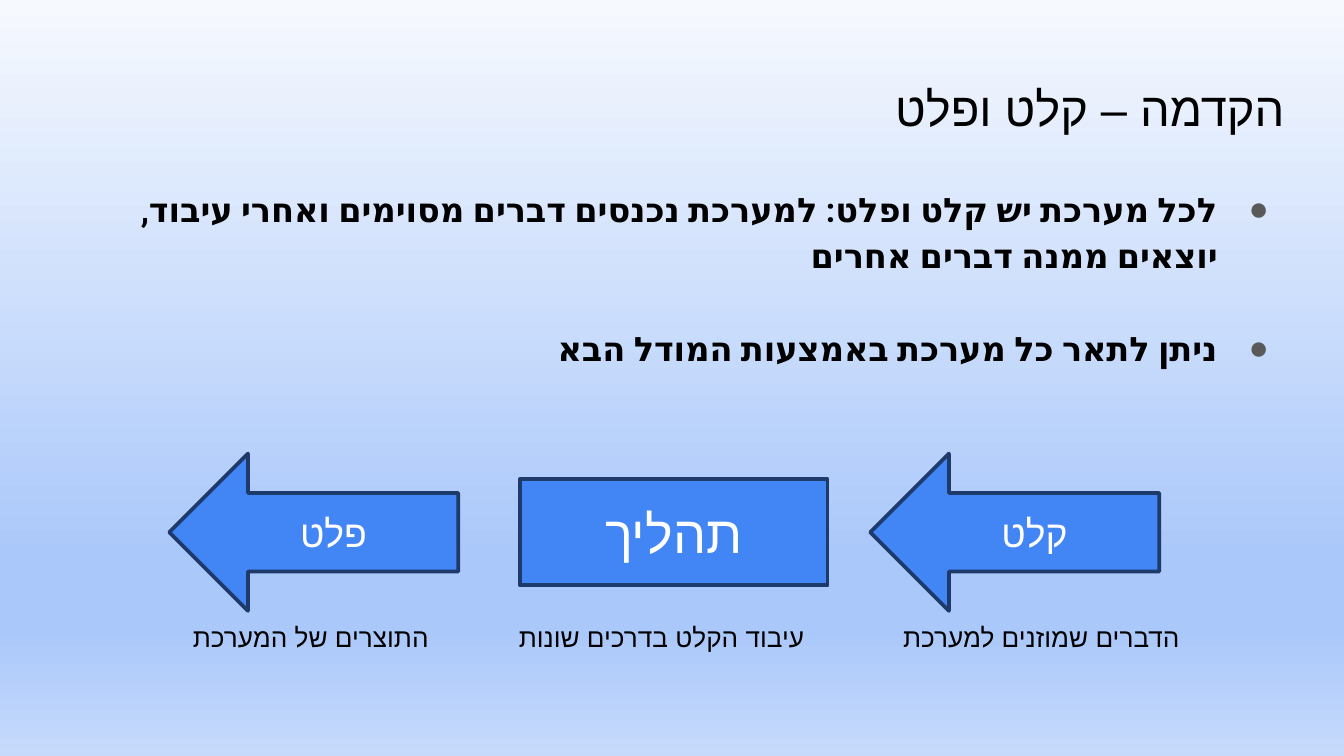
from copy import deepcopy

from lxml import etree
from pptx import Presentation
from pptx.dml.color import RGBColor
from pptx.enum.lang import MSO_LANGUAGE_ID
from pptx.enum.shapes import MSO_SHAPE
from pptx.enum.text import MSO_ANCHOR, MSO_AUTO_SIZE, PP_ALIGN
from pptx.oxml.ns import qn
from pptx.util import Inches, Pt

ARROW, RECT = MSO_SHAPE.LEFT_ARROW, MSO_SHAPE.RECTANGLE
MIDDLE, TOP = MSO_ANCHOR.MIDDLE, MSO_ANCHOR.TOP
RIGHT, CENTER = PP_ALIGN.RIGHT, PP_ALIGN.CENTER
FIXED = MSO_AUTO_SIZE.NONE
HEBREW = MSO_LANGUAGE_ID.HEBREW

BLACK = RGBColor(0x00, 0x00, 0x00)
WHITE = RGBColor(0xFF, 0xFF, 0xFF)
BLUE = RGBColor(0x42, 0x85, 0xF4)
NAVY = RGBColor(0x1D, 0x3A, 0x6B)
STOPS = [
    (0, RGBColor(0xF6, 0xF9, 0xFE)),
    (0.74, RGBColor(0xAA, 0xC8, 0xFA)),
    (0.83, RGBColor(0xAA, 0xC8, 0xFA)),
    (1, RGBColor(0xC6, 0xDA, 0xFC)),
]
WIDE = 10
HIGH = WIDE * 9 / 16

TITLE = "הקדמה – קלט ופלט"
POINTS = [
    "לכל מערכת יש קלט ופלט: למערכת נכנסים דברים מסוימים ואחרי עיבוד, יוצאים ממנה דברים אחרים",
    "ניתן לתאר כל מערכת באמצעות המודל הבא",
]
STEPS = [
    ("פלט", ARROW, 2.15, 1.17, 20, "התוצרים של המערכת"),
    ("תהליך", RECT, 2.29, 0.79, 28, "עיבוד הקלט בדרכים שונות"),
    ("קלט", ARROW, 2.15, 1.17, 20, "הדברים שמוזנים למערכת"),
]


def style(para, size, color, align=RIGHT, face="Arial", bold=False):
    para.alignment = align
    props = para._p.get_or_add_pPr()
    props.set("rtl", "1")
    font = para.font
    font.name, font.size, font.bold = face, Pt(size), bold
    font.color.rgb = color
    font.language_id = HEBREW
    script = etree.SubElement(props.find(qn("a:defRPr")), qn("a:cs"))
    script.set("typeface", face)
    for run in para.runs:
        run.font.language_id = HEBREW


def add_bullet(para):
    props = para._p.get_or_add_pPr()
    props.set("marL", str(Inches(0.5)))
    props.set("marR", "0")
    props.set("indent", str(Inches(-0.38)))
    tint = etree.SubElement(props, qn("a:buClr"))
    etree.SubElement(tint, qn("a:srgbClr")).set("val", "595959")
    etree.SubElement(props, qn("a:buFont")).set("typeface", "Arial")
    etree.SubElement(props, qn("a:buChar")).set("char", "●")


def set_frame(frame, anchor, inset=0.1):
    frame.word_wrap = True
    frame.auto_size = FIXED
    frame.vertical_anchor = anchor
    frame.margin_left = frame.margin_right = Inches(0.1)
    frame.margin_top = frame.margin_bottom = Inches(inset)


def paint_back(slide):
    fill = slide.background.fill
    fill.gradient()
    fill.gradient_angle = 270
    stops = slide._element.find(".//" + qn("a:gsLst"))
    while len(stops) < len(STOPS):
        stops.append(deepcopy(stops[0]))
    for stop, (place, color) in zip(fill.gradient_stops, STOPS):
        stop.position = place
        stop.color.rgb = color


def add_title(slide, left, top, width, height):
    title = slide.shapes.title
    title.left, title.top = Inches(left), Inches(top)
    title.width, title.height = Inches(width), Inches(height)
    set_frame(title.text_frame, MIDDLE)
    title.text_frame.text = TITLE
    style(title.text_frame.paragraphs[0], 25.2, BLACK)


def add_points(slide, left, top, width, height):
    box = slide.shapes.add_textbox(*map(Inches, (left, top, width, height)))
    frame = box.text_frame
    set_frame(frame, TOP)
    for index, text in enumerate(POINTS):
        para = frame.add_paragraph() if index else frame.paragraphs[0]
        para.text = text
        para.line_spacing = 1.15
        para.space_before = Pt(25 if index else 0)
        add_bullet(para)
        style(para, 18, BLACK, face="Roboto", bold=True)


def add_model(slide, left, top, width, height):
    pitch = width * 0.35
    row = height * 0.76
    for index, (name, kind, wide, high, size, note) in enumerate(STEPS):
        x = left + index * pitch
        y = top + (row - high) / 2
        step = slide.shapes.add_shape(kind, *map(Inches, (x, y, wide, high)))
        step.shadow.inherit = False
        step.fill.solid()
        step.fill.fore_color.rgb = BLUE
        step.line.color.rgb = NAVY
        step.line.width = Pt(2)
        set_frame(step.text_frame, MIDDLE, 0.05)
        step.text_frame.text = name
        style(step.text_frame.paragraphs[0], size, WHITE, CENTER)

        spot = (left - 0.47 + index * width * 0.375, top + height * 0.78, 2.5, height * 0.22)
        label = slide.shapes.add_textbox(*map(Inches, spot))
        set_frame(label.text_frame, TOP, 0.05)
        label.text_frame.text = note
        style(label.text_frame.paragraphs[0], 14, BLACK)


def main():
    deck = Presentation()
    deck.slide_width, deck.slide_height = Inches(WIDE), Inches(HIGH)
    slide = deck.slides.add_slide(deck.slide_layouts[5])
    paint_back(slide)
    edge, span = WIDE * 0.034, WIDE * 0.932
    add_title(slide, edge, HIGH * 0.087, span, HIGH * 0.112)
    add_points(slide, edge, HIGH * 0.224, span, HIGH * 0.3)
    add_model(slide, WIDE * 0.126, HIGH * 0.6, WIDE * 0.745, HIGH * 0.274)
    deck.save("out.pptx")


if __name__ == "__main__":
    main()
